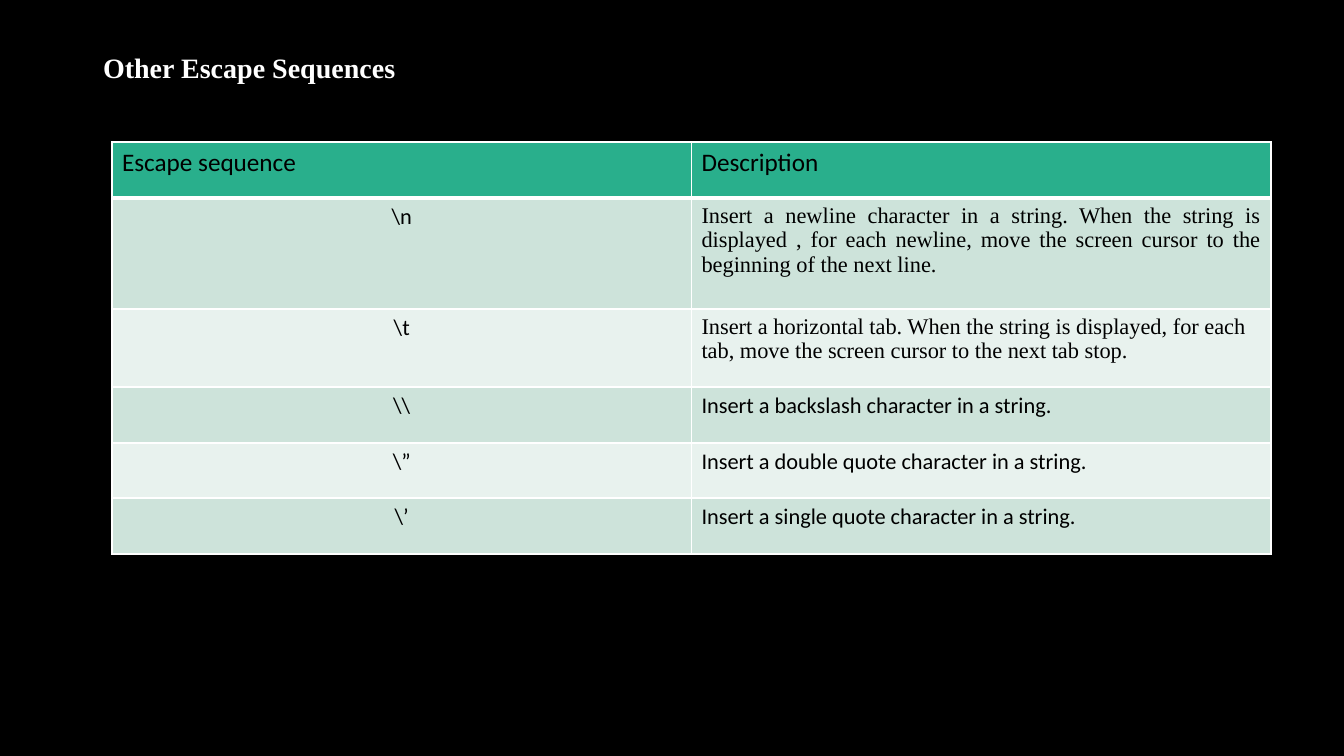
from dataclasses import dataclass

from lxml import etree
from pptx import Presentation
from pptx import util as u
from pptx.dml.color import RGBColor
from pptx.enum import text
from pptx.oxml import ns


@dataclass
class Theme:
    back: str = "000000"
    ink: str = "000000"
    light: str = "FFFFFF"
    head: str = "29AF8C"
    bands: tuple = ("CDE3DA", "E8F2EE")
    sans: str = "Calibri"
    serif: str = "Times New Roman"
    title: int = 20
    label: int = 18
    body: int = 16


theme = Theme()
align = text.PP_ALIGN


def px(n):
    return u.Emu(round(n * 914400 / 100.8))


def write(frame, words, size, font=theme.sans, color=theme.ink,
          bold=False, side=align.LEFT, space=1.0):
    para = frame.paragraphs[0]
    para.alignment = side
    para.line_spacing = space
    run = para.add_run()
    run.text = words
    run.font.size = u.Pt(size)
    run.font.name = font
    run.font.bold = bold
    run.font.color.rgb = RGBColor.from_string(color)


# Slide and background
deck = Presentation()
deck.slide_width, deck.slide_height = px(1344), px(756)
slide = deck.slides.add_slide(deck.slide_layouts[5])
slide.background.fill.solid()
slide.background.fill.fore_color.rgb = RGBColor.from_string(theme.back)

# Title
title = slide.shapes.title
title.left, title.top, title.width, title.height = px(93), px(40), px(1159), px(59)
title.text_frame.vertical_anchor = text.MSO_ANCHOR.MIDDLE
title.text_frame.word_wrap = True
write(title.text_frame, "Other Escape Sequences", theme.title,
      font=theme.serif, color=theme.light, bold=True, space=0.9)

# Table content: sequence, description, font and alignment of the description
rows = [
    ("Escape sequence", "Description", theme.sans, align.LEFT),
    ("\\n", "Insert a newline character in a string. When the string is "
     "displayed , for each newline, move the screen cursor to the "
     "beginning of the next line.", theme.serif, align.JUSTIFY),
    ("\\t", "Insert a horizontal tab. When the string is displayed, for each "
     "tab, move the screen cursor to the next tab stop.", theme.serif, align.LEFT),
    ("\\\\", "Insert a backslash character in a string.", theme.sans, align.LEFT),
    ("\\”", "Insert a double quote character in a string.", theme.sans, align.LEFT),
    ("\\’", "Insert a single quote character in a string.", theme.sans, align.LEFT),
]
highs = [56, 111, 78, 56, 55, 56]

# Table grid
table = slide.shapes.add_table(len(rows), 2, px(112), px(142),
                               px(1159), px(sum(highs))).table
for col in table.columns:
    col.width = px(579.5)

# Cells
for r, (code, about, font, side) in enumerate(rows):
    table.rows[r].height = px(highs[r])
    size = theme.body if r else theme.label
    fill = theme.bands[(r - 1) % 2] if r else theme.head
    mid = align.CENTER if r else align.LEFT
    for c, (words, face, place) in enumerate([(code, theme.sans, mid),
                                              (about, font, side)]):
        cell = table.cell(r, c)
        write(cell.text_frame, words, size, font=face, side=place)

        # Borders, heavier between the header and the body
        props = cell._tc.get_or_add_tcPr()
        for edge in "LRTB":
            thick = 3 if (r, edge) in ((0, "B"), (1, "T")) else 1
            line = etree.SubElement(props, ns.qn("a:ln" + edge), w=str(u.Pt(thick)))
            solid = etree.SubElement(line, ns.qn("a:solidFill"))
            etree.SubElement(solid, ns.qn("a:srgbClr"), val=theme.light)
        cell.fill.solid()
        cell.fill.fore_color.rgb = RGBColor.from_string(fill)

deck.save("out.pptx")
